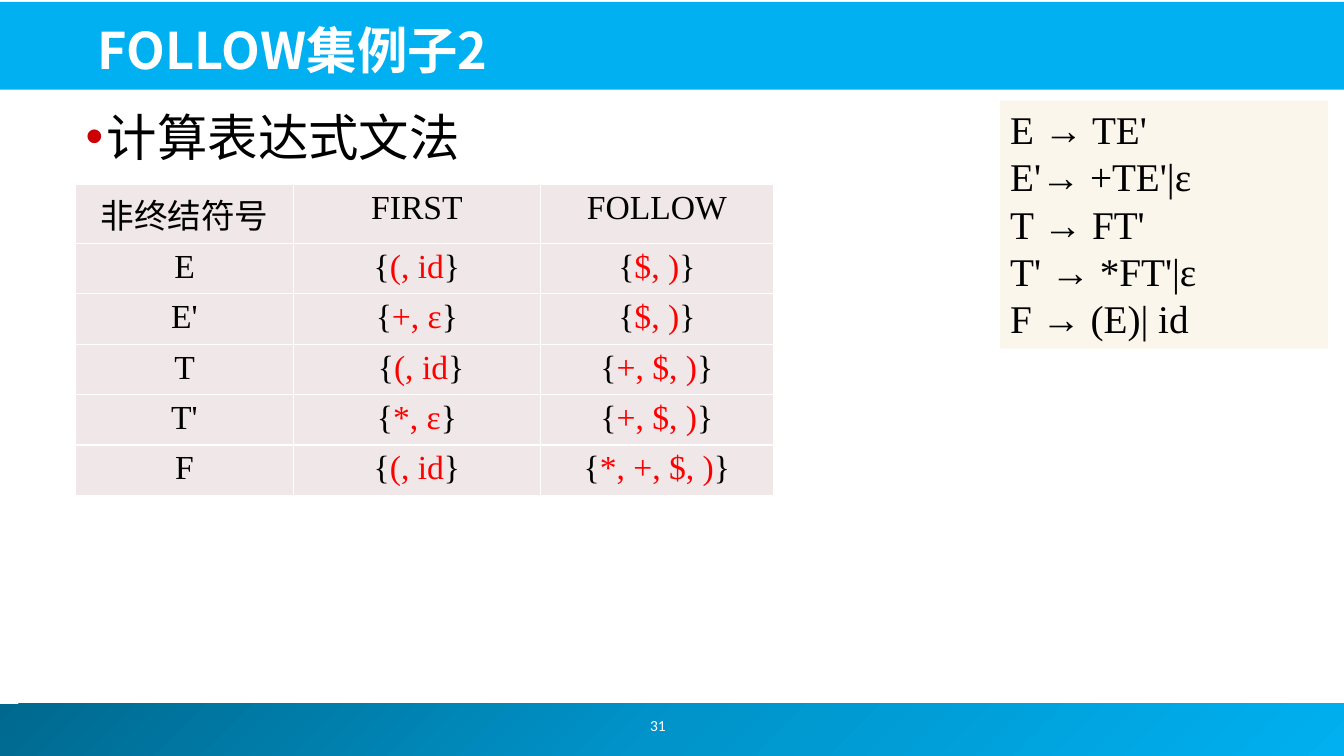
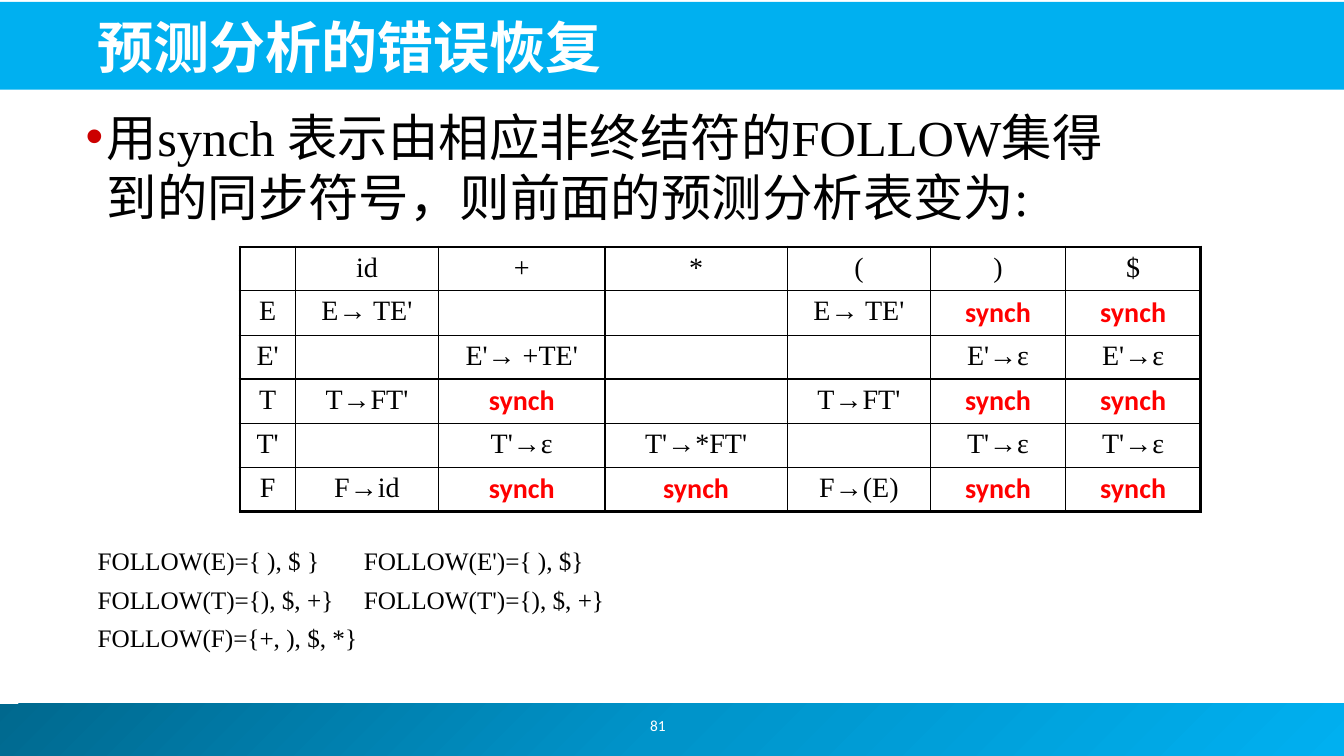
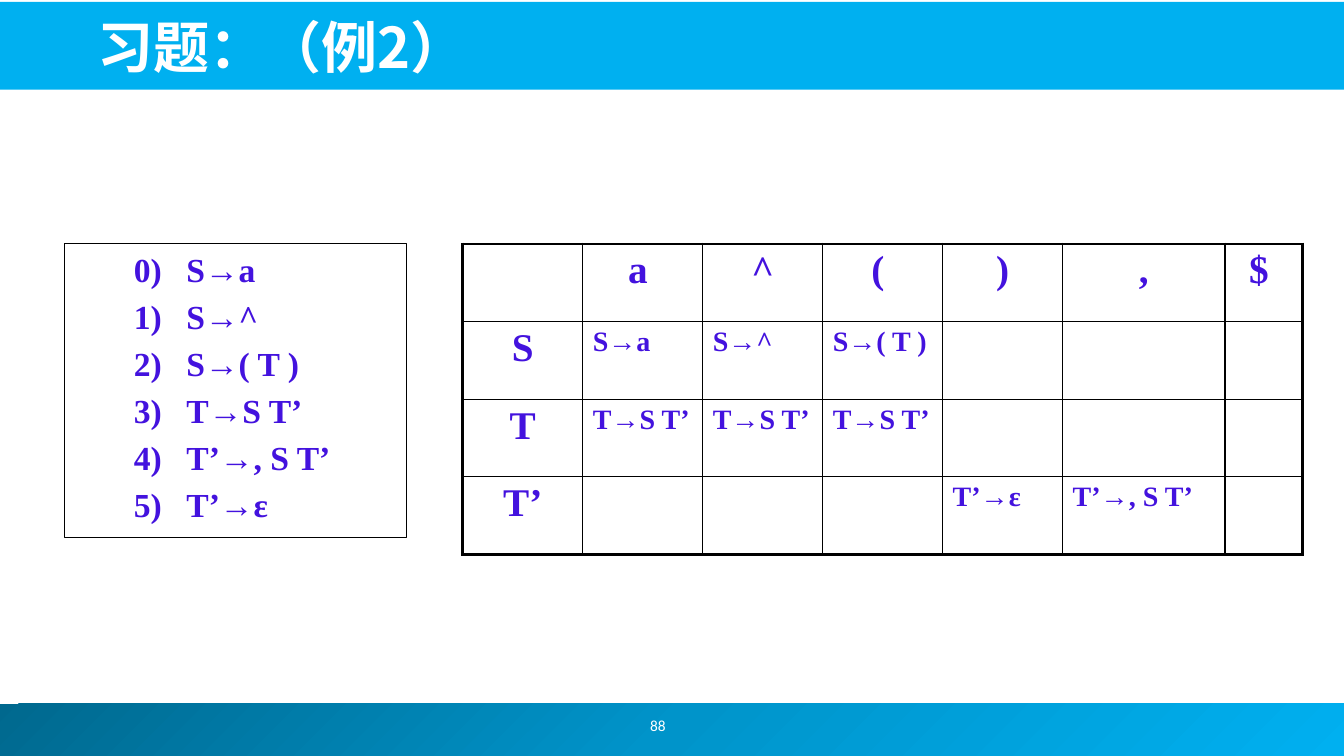
"""Build three slides on FOLLOW sets and predictive parsing tables."""
from copy import deepcopy
from dataclasses import dataclass, replace
from typing import Callable, Optional, Sequence

from lxml import etree
from pptx import Presentation
from pptx.dml.color import RGBColor
from pptx.enum import shapes, text
from pptx.oxml import ns
from pptx.util import Inches, Pt

SERIF = "Times New Roman"
SANS = "Calibri"
CJK = "Noto Sans CJK JP"
BLACK, WHITE, RED, INDIGO = "000000", "FFFFFF", "FF0000", "4312DE"
SKY, BULLET_RED, CREAM, BLUSH = "00B0F0", "CC0000", "FAF6EB", "F0E7E8"
FOOTER_STOPS = ((0, "00688E"), (0.5, "0094CA"), (1, SKY))
LEFT, CENTER = text.PP_ALIGN.LEFT, text.PP_ALIGN.CENTER


@dataclass(frozen=True)
class Style:
    size: float
    font: str = SERIF
    color: str = BLACK
    bold: bool = False
    align: text.PP_ALIGN = LEFT
    before: Optional[float] = None


@dataclass(frozen=True)
class Box:
    left: float
    top: float
    width: float
    height: float

    def lengths(self) -> tuple:
        return tuple(Inches(n) for n in (self.left, self.top, self.width, self.height))


@dataclass(frozen=True)
class Grid:
    left: float
    top: float
    columns: Sequence[float]
    row_height: float
    rows: Sequence[Sequence[str]]
    style: Callable[[int, int, str], Style]
    line: str = BLACK
    edge: float = 2.25
    fill: Optional[str] = None


TITLE_BOX = Box(0.87, 0.05, 12.06, 0.79)
PAGE_BOX = Box(5.08, 6.95, 2.89, 0.5)
PAGE = Style(11, SANS, WHITE, align=CENTER)
BODY = Style(36)
RULE = Style(28)
SET = Style(24, align=CENTER)
PARSE = Style(20, align=CENTER)
SYNCH = Style(20, SANS, RED, True, CENTER)
HEADING = Style(28, color=INDIGO, bold=True, align=CENTER)
ENTRY = replace(HEADING, size=20, align=LEFT)
PRODUCTION = replace(ENTRY, size=24, before=4.8)

GRAMMAR = ("E → TE'", "E'→ +TE'|ε", "T → FT'", "T' → *FT'|ε", "F → (E)| id")
SETS = (
    ("非终结符号", "FIRST", "FOLLOW"),
    ("E", "{(, id}", "{$, )}"),
    ("E'", "{+, ε}", "{$, )}"),
    ("T", " {(, id}", "{+, $, )}"),
    ("T'", "{*, ε}", "{+, $, )}"),
    ("F", "{(, id}", "{*, +, $, )}"),
)
RECOVERY = (
    ("", "id", "+", "*", "(", ")", "$"),
    ("E", "E→ TE'", "", "", "E→ TE'", "synch", "synch"),
    ("E'", "", "E'→ +TE'", "", "", "E'→ε", "E'→ε"),
    ("T", "T→FT'", "synch", "", "T→FT'", "synch", "synch"),
    ("T'", "", "T'→ε", "T'→*FT'", "", "T'→ε", "T'→ε"),
    ("F", "F→id", "synch", "synch", "F→(E)", "synch", "synch"),
)
FOLLOWS = (
    "FOLLOW(E)={ ), $ }\tFOLLOW(E')={ ), $}",
    "FOLLOW(T)={), $, +}\tFOLLOW(T')={), $, +}",
    "FOLLOW(F)={+, ), $, *}",
)
EXERCISE = (
    ("", "a ", " ^ ", "( ", " ) ", " , ", "$ "),
    ("S", "S→a", "S→^", "S→( T )", "", "", ""),
    ("T", "T→S T’", "T→S T’", "T→S T’", "", "", ""),
    ("T’", "", "", "", "T’→ε", "T’→, S T’", ""),
)
PRODUCTIONS = ("S→a", "S→^", "S→( T )", "T→S T’", "T’→, S T’", "T’→ε")


def rgb(color: str) -> RGBColor:
    """Turn a hex string into a colour."""
    return RGBColor.from_string(color)


def add_xml(parent, tag: str, **attributes: str):
    """Append a DrawingML element and return it."""
    return etree.SubElement(parent, ns.qn(tag), attributes)


def write(paragraph, pieces: Sequence[str], style: Style) -> None:
    """Fill a paragraph with one run for each piece."""
    for piece in pieces:
        paragraph.add_run().text = piece
    paragraph.alignment = style.align
    if style.before is not None:
        paragraph.space_before = Pt(style.before)
    font = paragraph.font
    font.size, font.name, font.bold = Pt(style.size), style.font, style.bold
    font.color.rgb = rgb(style.color)
    if style.font == CJK:
        add_xml(paragraph._p.pPr.defRPr, "a:ea", typeface=CJK)


def write_lines(frame, lines: Sequence[str], style: Style,
                margin: float = 0, indent: float = 0, tab: float = 0) -> None:
    """Write one paragraph for each line, with optional indent and tab stop."""
    frame.word_wrap = True
    frame.auto_size = text.MSO_AUTO_SIZE.NONE
    frame.vertical_anchor = text.MSO_ANCHOR.TOP
    for index, line in enumerate(lines):
        paragraph = frame.add_paragraph() if index else frame.paragraphs[0]
        properties = paragraph._p.get_or_add_pPr()
        if margin:
            properties.set("marL", str(Inches(margin)))
            properties.set("indent", str(Inches(indent)))
        if tab:
            stops = add_xml(properties, "a:tabLst")
            add_xml(stops, "a:tab", pos=str(Inches(tab)), algn="l")
        write(paragraph, [line], style)


def place(shape, box: Box) -> None:
    """Move and size a shape."""
    shape.left, shape.top, shape.width, shape.height = box.lengths()


def add_panel(slide, box: Box, fill: Optional[str] = None, line: Optional[str] = None):
    """Add a flat rectangle."""
    panel = slide.shapes.add_shape(shapes.MSO_SHAPE.RECTANGLE, *box.lengths())
    panel.shadow.inherit = False
    if fill:
        panel.fill.solid()
        panel.fill.fore_color.rgb = rgb(fill)
    else:
        panel.fill.background()
    if line:
        panel.line.color.rgb = rgb(line)
        panel.line.width = Pt(0.75)
    else:
        panel.line.fill.background()
    return panel


def dress_master(prs, slide) -> None:
    """Draw the header and footer bands and hand them to the slide master."""
    footer = add_panel(slide, Box(-0.05, 6.98, 13.39, 0.52), SKY)
    footer.fill.gradient()
    footer.fill.gradient_angle = 315
    last_stop = footer.element.xpath(".//a:gs")[-1]
    last_stop.addprevious(deepcopy(last_stop))
    for stop, (position, color) in zip(footer.fill.gradient_stops, FOOTER_STOPS):
        stop.position = position
        stop.color.rgb = rgb(color)
    header = add_panel(slide, Box(-0.02, 0.02, 13.36, 0.87), SKY)
    for offset, band in enumerate((footer, header)):
        band.element.xpath(".//p:cNvPr")[0].set("id", str(20 + offset))
        prs.slide_master.shapes.element.insert(2 + offset, band.element)


def add_page(prs, title: str, title_size: float, number: int, body: str = "",
             body_height: float = 0):
    """Add a slide with its title, page number and optional bullet."""
    slide = prs.slides.add_slide(prs.slide_layouts[1 if body else 5])
    place(slide.shapes.title, TITLE_BOX)
    title_frame = slide.shapes.title.text_frame
    write_lines(title_frame, [title], Style(title_size, CJK, WHITE, True))
    title_frame.vertical_anchor = text.MSO_ANCHOR.BOTTOM
    if body:
        bullet = slide.placeholders[1]
        place(bullet, Box(0.75, 1, 10.58, body_height))
        properties = bullet.text_frame.paragraphs[0]._p.get_or_add_pPr()
        add_xml(add_xml(properties, "a:buClr"), "a:srgbClr", val=BULLET_RED)
        add_xml(properties, "a:buChar", char="•")
        write_lines(bullet.text_frame, [body], BODY, 0.21, -0.21)
    page = slide.shapes.add_textbox(*PAGE_BOX.lengths())
    write_lines(page.text_frame, [str(number)], PAGE)
    page.text_frame.vertical_anchor = text.MSO_ANCHOR.MIDDLE
    return slide


def add_border(cell, side: str, color: str, width: float) -> None:
    """Draw one side of a cell."""
    line = add_xml(cell._tc.get_or_add_tcPr(), f"a:ln{side}", w=str(Pt(width)))
    add_xml(add_xml(line, "a:solidFill"), "a:srgbClr", val=color)


def add_grid(slide, grid: Grid):
    """Add a table with thin inner lines and its own outer edge."""
    last_row, last_column = len(grid.rows) - 1, len(grid.columns) - 1
    box = Box(grid.left, grid.top, sum(grid.columns), grid.row_height * len(grid.rows))
    table = slide.shapes.add_table(last_row + 1, last_column + 1, *box.lengths()).table
    table.first_row = table.horz_banding = False
    for column, width in zip(table.columns, grid.columns):
        column.width = Inches(width)
    for r, row in enumerate(grid.rows):
        table.rows[r].height = Inches(grid.row_height)
        for c, entry in enumerate(row):
            cell = table.cell(r, c)
            outer = {"L": c == 0, "R": c == last_column, "T": r == 0, "B": r == last_row}
            for side, is_outer in outer.items():
                add_border(cell, side, grid.line, grid.edge if is_outer else 1)
            if grid.fill:
                cell.fill.solid()
                cell.fill.fore_color.rgb = rgb(grid.fill)
            else:
                cell.fill.background()
            paragraph = cell.text_frame.paragraphs[0]
            if entry.endswith("}"):
                opening, members = entry[:-1].split("{")
                write(paragraph, [opening + "{", members, "}"], grid.style(r, c, entry))
                paragraph.runs[1].font.color.rgb = rgb(RED)
            elif entry:
                write(paragraph, [entry], grid.style(r, c, entry))


def set_style(row: int, column: int, entry: str) -> Style:
    """Style the FIRST and FOLLOW table."""
    return SET


def recovery_style(row: int, column: int, entry: str) -> Style:
    """Mark the synchronising entries."""
    return SYNCH if entry == "synch" else PARSE


def exercise_style(row: int, column: int, entry: str) -> Style:
    """Enlarge the first row and column."""
    return ENTRY if row and column else HEADING


def main() -> None:
    """Build and save the slides."""
    prs = Presentation()
    prs.slide_width, prs.slide_height = Inches(13.33), Inches(7.5)

    follow = add_page(prs, "FOLLOW集例子2", 36, 31, "计算表达式文法", 0.67)
    dress_master(prs, follow)
    grammar = add_panel(follow, Box(9.92, 1, 3.25, 2.46), CREAM)
    write_lines(grammar.text_frame, GRAMMAR, RULE)
    add_grid(follow, Grid(0.75, 1.83, (2.16, 2.45, 2.31), 0.5, SETS, set_style,
                          WHITE, 1, BLUSH))

    recovery = add_page(
        prs, "预测分析的错误恢复", 40, 81,
        "用synch 表示由相应非终结符的FOLLOW集得到的同步符号，则前面的预测分析表变为:", 1.75)
    add_grid(recovery, Grid(2.38, 2.45, (0.55, 1.42, 1.65, 1.81, 1.42, 1.34, 1.34),
                            0.435, RECOVERY, recovery_style))
    follows = recovery.shapes.add_textbox(*Box(0.87, 5.36, 7.5, 1.48).lengths())
    write_lines(follows.text_frame, FOLLOWS, Style(18, before=6), tab=2.64)

    exercise = add_page(prs, "习题：（例2）", 40, 88)
    add_grid(exercise, Grid(4.59, 2.42, (1.19,) * 5 + (1.61, 0.77), 0.77,
                            EXERCISE, exercise_style))
    productions = add_panel(exercise, Box(0.64, 2.42, 3.39, 2.91), line=BLACK)
    numbered = [f"{n})\t{rule}" for n, rule in enumerate(PRODUCTIONS)]
    write_lines(productions.text_frame, numbered, PRODUCTION, 1.11, -0.52)

    prs.save("out.pptx")


if __name__ == "__main__":
    main()
